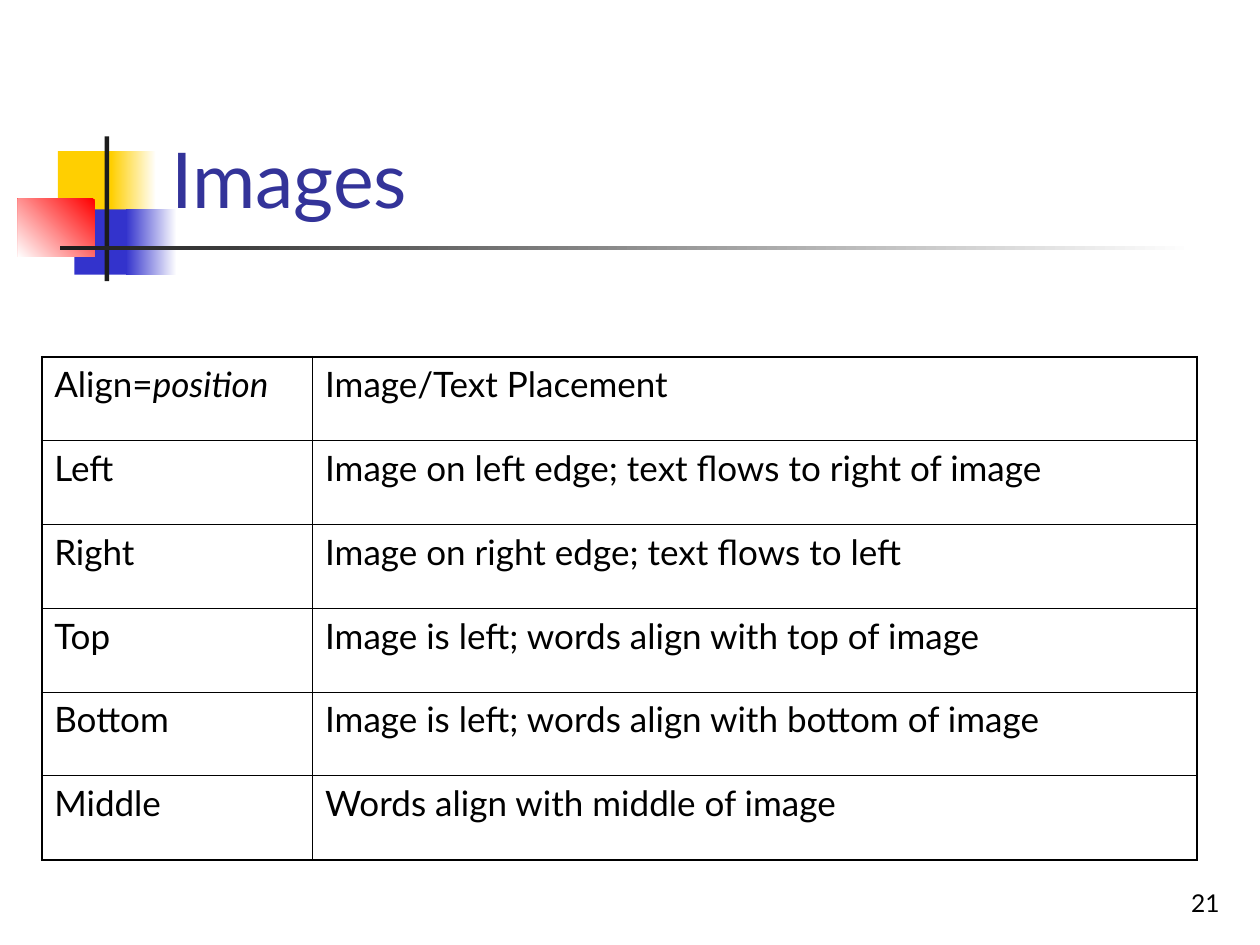
from dataclasses import dataclass

from lxml.etree import SubElement
from pptx import Presentation
from pptx.dml.color import RGBColor
from pptx.enum.shapes import MSO_SHAPE
from pptx.enum.text import MSO_ANCHOR, MSO_AUTO_SIZE, PP_ALIGN
from pptx.oxml.ns import qn
from pptx.util import Cm, Pt


@dataclass(frozen=True)
class Theme:
    font: str = "Lato"
    title: str = "333399"
    ink: str = "000000"
    paper: str = "FFFFFF"
    yellow: str = "FFCF01"
    blue: str = "3333CC"
    red: str = "FF0000"
    dark: str = "1C1C1C"
    title_size: int = 44
    table_size: int = 20
    number_size: int = 14
    outer_line: float = 1.08
    inner_line: float = 0.45


THEME = Theme()

TITLE = "Images"
PAGE_NUMBER = "21"
PLACEMENTS = [
    ([("Align=", False), ("position", True)], [("Image/Text Placement", False)]),
    ([("Left", False)], [("Image on left edge; text flows to right of image", False)]),
    ([("Right", False)], [("Image on right edge; text flows to left", False)]),
    ([("Top", False)], [("Image is left; words align with top of image", False)]),
    ([("Bottom", False)], [("Image is left; words align with bottom of image", False)]),
    ([("Middle", False)], [("Words align with middle of image", False)]),
]

ORNAMENTS = [
    ((1.17, 3.05, 1.22, 1.32), (THEME.yellow,), None),
    ((2.24, 3.05, 0.91, 1.32), (THEME.paper, THEME.yellow), 180),
    ((1.5, 4.22, 1.17, 1.32), (THEME.blue,), None),
    ((2.54, 4.22, 1.02, 1.32), (THEME.paper, THEME.blue), 180),
    ((0.36, 4.01, 1.55, 1.17), (THEME.red, THEME.paper), 225),
    ((2.11, 2.75, 0.09, 2.92), (THEME.dark,), None),
    ((1.22, 4.95, 22.86, 0.09), (THEME.paper, THEME.dark), 180),
]

TITLE_BOX = (3.2, 0.58, 21.64, 4.06)
NUMBER_BOX = (19.56, 17.35, 5.28, 1.27)
TABLE_CORNER = (0.84, 7.19)
COLUMN_WIDTHS = (5.46, 17.83)
ROW_HEIGHT = 1.69


def lengths(box):
    return [Cm(value) for value in box]


def apply(target, formats):
    for attribute, value in formats.items():
        setattr(target, attribute, value)


def write(paragraph, words, size, color, italic=False):
    run = paragraph.add_run()
    run.text = words
    apply(run.font, {"name": THEME.font, "size": Pt(size), "italic": italic})
    run.font.color.rgb = RGBColor.from_string(color)


def add_ornament(slide, box, colors, angle):
    block = slide.shapes.add_shape(MSO_SHAPE.RECTANGLE, *lengths(box))
    block.shadow.inherit = False
    block.line.fill.background()
    if angle is None:
        block.fill.solid()
        block.fill.fore_color.rgb = RGBColor.from_string(colors[0])
        return
    block.fill.gradient()
    block.fill.gradient_angle = angle
    for position, (stop, color) in enumerate(zip(block.fill.gradient_stops, colors)):
        stop.position = position
        stop.color.rgb = RGBColor.from_string(color)


def add_borders(cell, outer_sides):
    properties = cell._tc.get_or_add_tcPr()
    for index, (side, is_outer) in enumerate(zip("LRTB", outer_sides)):
        width = THEME.outer_line if is_outer else THEME.inner_line
        border = SubElement(properties, qn(f"a:ln{side}"), w=str(Pt(width)))
        solid = SubElement(border, qn("a:solidFill"))
        SubElement(solid, qn("a:srgbClr"), val=THEME.ink)
        properties.insert(index, border)


def add_placements(slide):
    row_count, column_count = len(PLACEMENTS), len(COLUMN_WIDTHS)
    size = (sum(COLUMN_WIDTHS), ROW_HEIGHT * row_count)
    table = slide.shapes.add_table(
        row_count, column_count, *lengths(TABLE_CORNER + size)
    ).table
    apply(table, {"first_row": False, "horz_banding": False})
    for column, width in zip(table.columns, COLUMN_WIDTHS):
        column.width = Cm(width)
    for r, placement in enumerate(PLACEMENTS):
        table.rows[r].height = Cm(ROW_HEIGHT)
        for c, parts in enumerate(placement):
            cell = table.cell(r, c)
            cell.fill.background()
            paragraph = cell.text_frame.paragraphs[0]
            paragraph.space_before = Pt(5)
            for words, italic in parts:
                write(paragraph, words, THEME.table_size, THEME.ink, italic)
            add_borders(
                cell, (c == 0, c == column_count - 1, r == 0, r == row_count - 1)
            )


def fill_line(holder, words, size, color, alignment):
    apply(holder.text_frame, {
        "word_wrap": True,
        "auto_size": MSO_AUTO_SIZE.NONE,
        "vertical_anchor": MSO_ANCHOR.BOTTOM,
    })
    paragraph = holder.text_frame.paragraphs[0]
    paragraph.alignment = alignment
    write(paragraph, words, size, color)


def main():
    deck = Presentation()
    apply(deck, {"slide_width": Cm(25.4), "slide_height": Cm(19.05)})
    slide = deck.slides.add_slide(deck.slide_layouts[5])

    for ornament in ORNAMENTS:
        add_ornament(slide, *ornament)
    add_placements(slide)

    title = slide.shapes.title
    apply(title, dict(zip(("left", "top", "width", "height"), lengths(TITLE_BOX))))
    fill_line(title, TITLE, THEME.title_size, THEME.title, PP_ALIGN.LEFT)
    title.element.getparent().append(title.element)

    number = slide.shapes.add_textbox(*lengths(NUMBER_BOX))
    fill_line(number, PAGE_NUMBER, THEME.number_size, THEME.ink, PP_ALIGN.RIGHT)

    deck.save("out.pptx")


if __name__ == "__main__":
    main()
